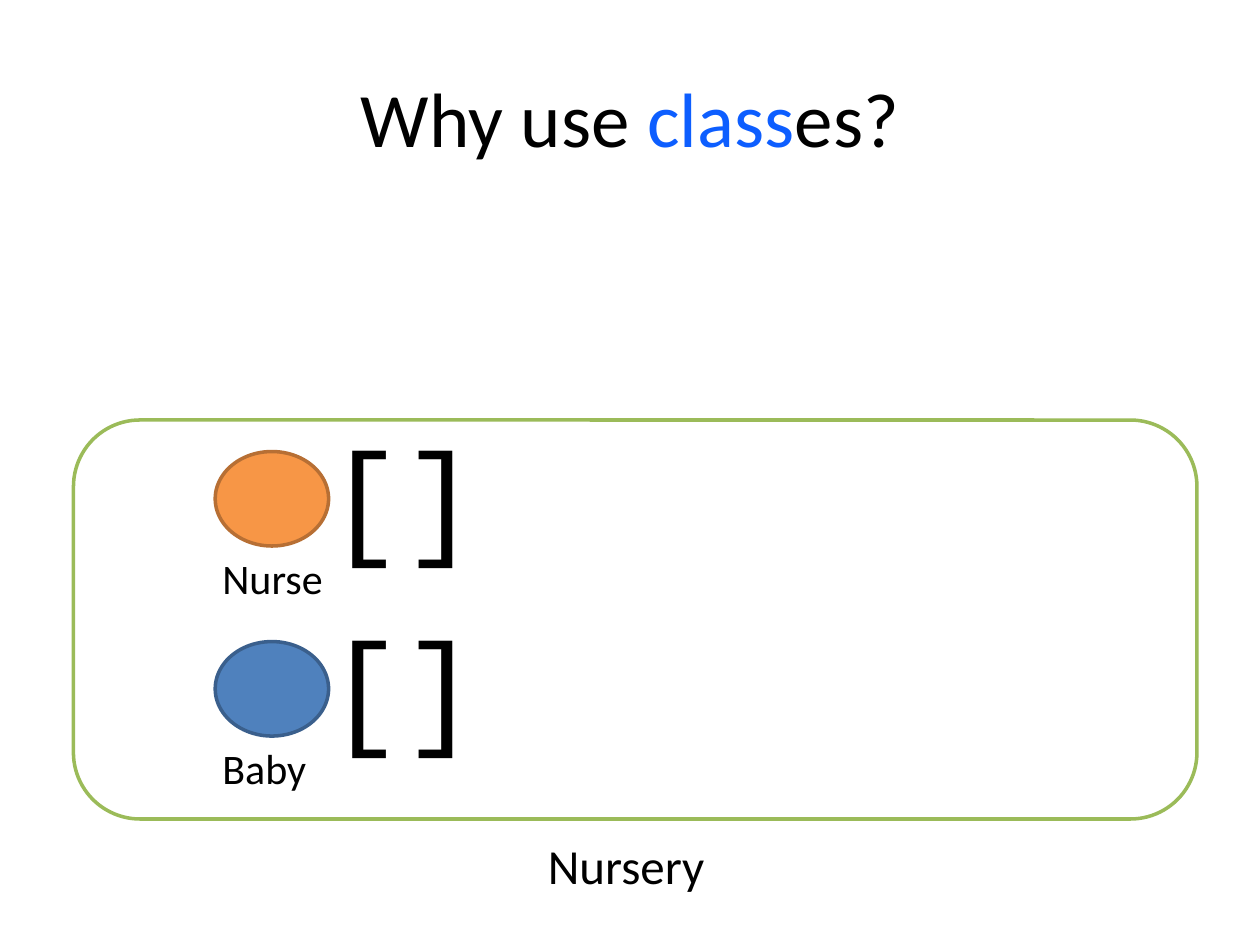
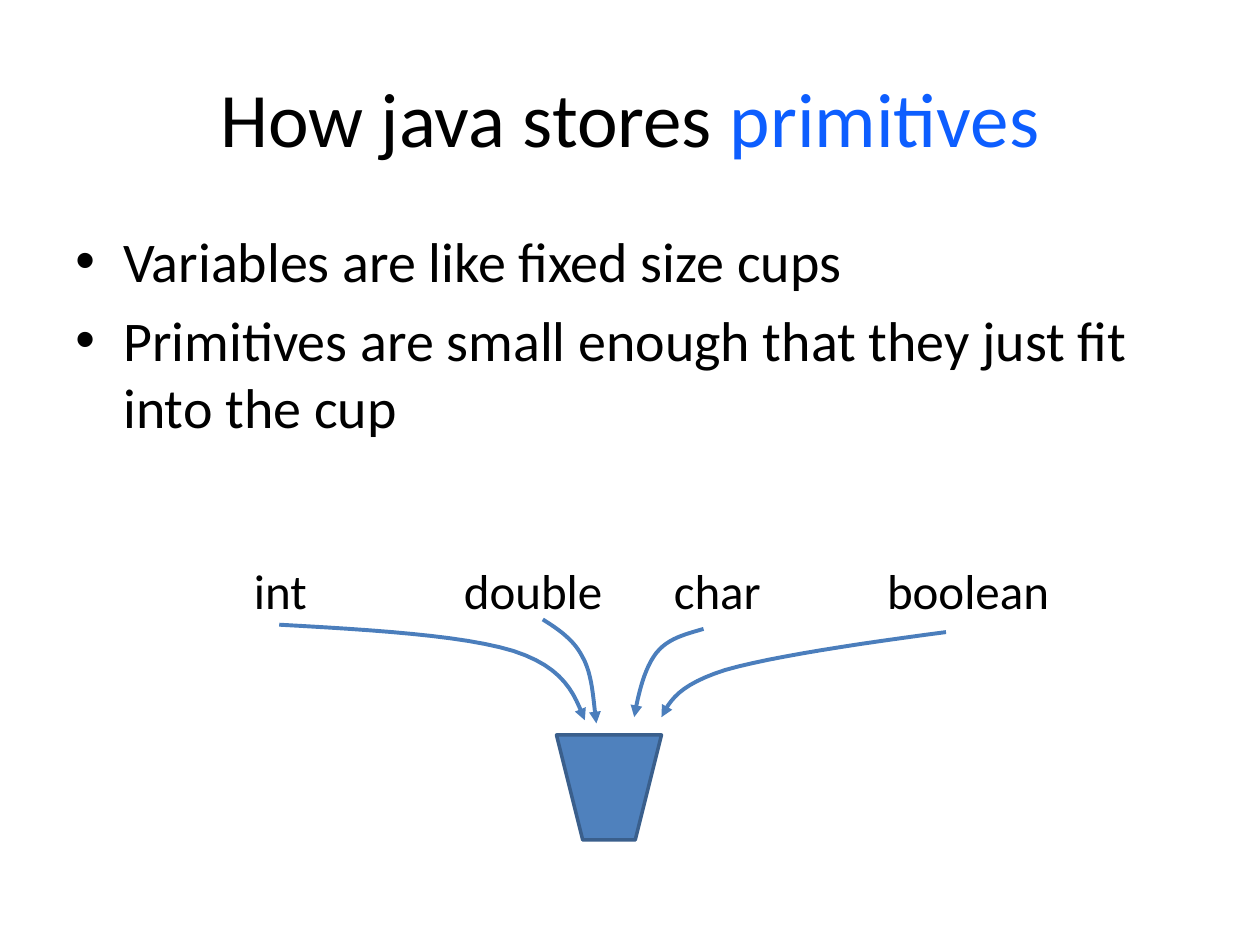
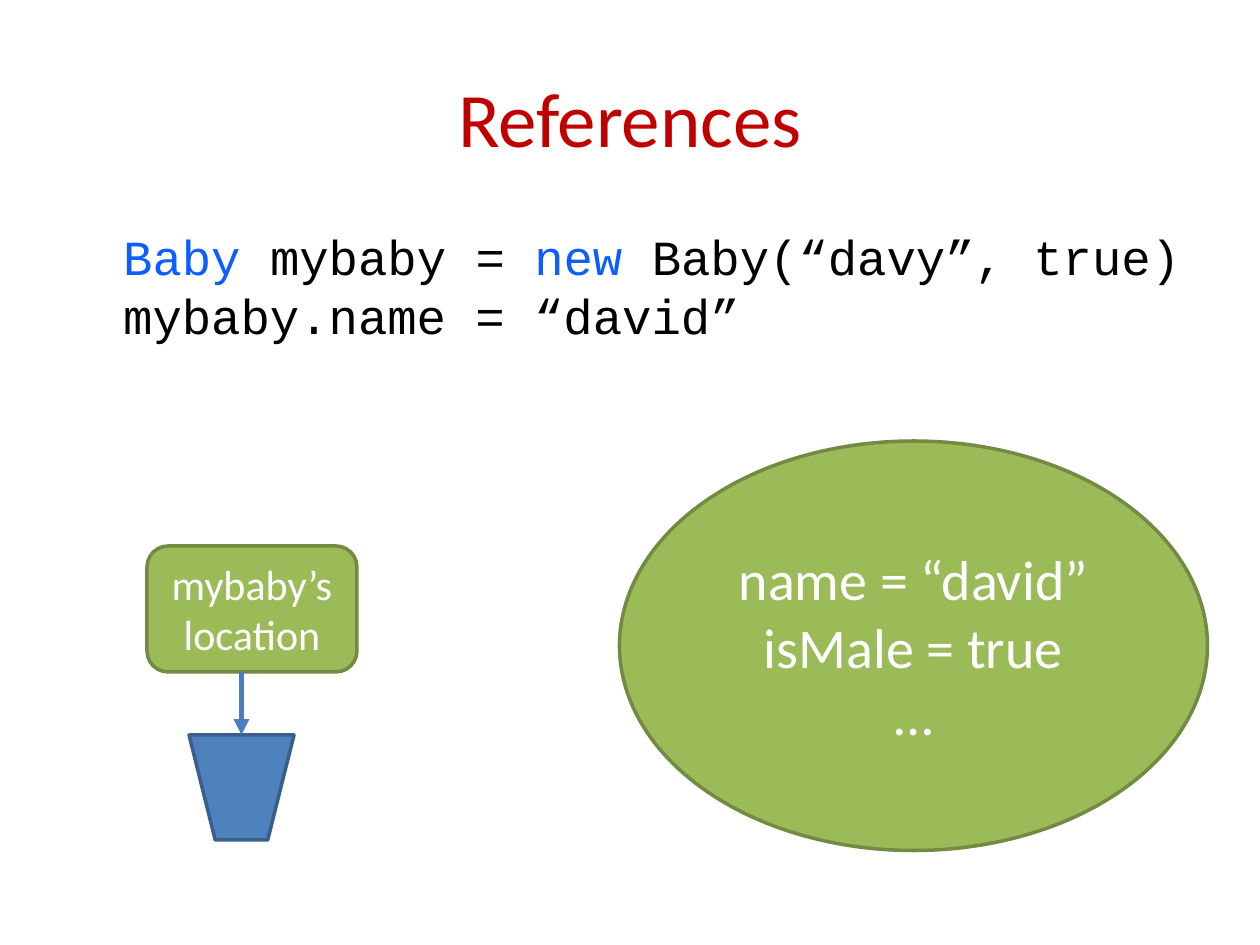
from lxml import etree
from pptx import Presentation
from pptx import util as u
from pptx.dml.color import RGBColor
from pptx.enum import shapes, text
from pptx.oxml.ns import qn

COLS, ROWS = 120, 90
BLACK, WHITE, KEYWORD, RED = "000000", "FFFFFF", "0D5EFF", "C00000"
BLUE, BLUE_EDGE, ARROW = "4F81BD", "3A5F8C", "4B7EBC"
GREEN, GREEN_EDGE = "9BBB59", "738A42"
ORANGE, ORANGE_EDGE = "F79646", "B76F34"
INDENT = u.Inches(0.38)
rgb = RGBColor.from_string
kinds = shapes.MSO_SHAPE

prs = Presentation()
prs.slide_width, prs.slide_height = u.Inches(10), u.Inches(7.5)
cell = prs.slide_width / COLS  # square cells: 120 columns by 90 rows


def add_box(slide, at, kind=None, fill=WHITE, edge=BLACK):
    """Add a text box, or a filled preset shape when a kind is given, at grid cells."""
    place = [round(v * cell) for v in at]
    if kind is None:
        return slide.shapes.add_textbox(*place)
    sp = slide.shapes.add_shape(kind, *place)
    sp.shadow.inherit = False
    sp.fill.solid()
    sp.fill.fore_color.rgb = rgb(fill)
    sp.line.color.rgb = rgb(edge)
    sp.line.width = u.Pt(2)
    return sp


def write(sp, lines, size, color=BLACK, font="Calibri", center=False, middle=False,
          wrap=True, left=0, bullet=False, before=0):
    """Write lines; each is a string or a list of (text, colour) pieces."""
    tf = sp.text_frame
    tf.word_wrap = wrap
    if not wrap:
        tf.auto_size = text.MSO_AUTO_SIZE.SHAPE_TO_FIT_TEXT
    tf.vertical_anchor = text.MSO_ANCHOR.MIDDLE if middle else text.MSO_ANCHOR.TOP
    for i, line in enumerate(lines):
        p = tf.add_paragraph() if i else tf.paragraphs[0]
        p.alignment = text.PP_ALIGN.CENTER if center else text.PP_ALIGN.LEFT
        if i and before:
            p.space_before = u.Pt(before)
        pPr = p._p.get_or_add_pPr()
        pPr.set("marL", str(left))
        if bullet:
            pPr.set("indent", str(-left))
            etree.SubElement(pPr, qn("a:buFont")).set("typeface", "Arial")
            etree.SubElement(pPr, qn("a:buChar")).set("char", "•")
        for piece, tint in [(line, color)] if isinstance(line, str) else line:
            r = p.add_run()
            r.text = piece
            r.font.name, r.font.size = font, u.Pt(size)
            r.font.color.rgb = rgb(tint)


titles = [
    [("Why use ", BLACK), ("class", KEYWORD), ("es?", BLACK)],
    [("How java stores ", BLACK), ("primitives", KEYWORD)],
    [("References", RED)],
]
slides = []
for title in titles:
    slide = prs.slides.add_slide(prs.slide_layouts[6])
    write(add_box(slide, (6, 3.6, 108, 15)), [title], 44, center=True, middle=True)
    slides.append(slide)
classes, primitives, references = slides

# Nursery with its lists of nurses and babies
add_box(classes, (7, 40, 107, 38), kinds.ROUNDED_RECTANGLE, WHITE, GREEN)
write(add_box(classes, (51, 79, 17.5, 6.8)), ["Nursery"], 28, wrap=False)
members = [
    ("Nurse", 12.1, 43, ORANGE, ORANGE_EDGE),
    ("Baby", 10.4, 61.1, BLUE, BLUE_EDGE),
]
for name, width, top, fill, edge in members:
    add_box(classes, (20.5, top, 10.8, 9), kinds.OVAL, fill, edge)
    write(add_box(classes, (20, top + 9, width, 6)), [name], 24, wrap=False)
    write(add_box(classes, (30, top - 3.9, 17, 15.7)), ["[]"], 72,
          font="Courier New", wrap=False)

# Cups that hold a primitive or a location
for slide, left in [(primitives, 53), (references, 18)]:
    cup = add_box(slide, (left, 70, 10, 10), kinds.TRAPEZOID, BLUE, BLUE_EDGE)
    cup._element.spPr.find(qn("a:xfrm")).set("flipV", "1")

# Primitives flowing into the cup
write(add_box(primitives, (6, 21, 108, 33)), [
    "Variables are like fixed size cups",
    "Primitives are small enough that they just fit into the cup",
], 32, left=INDENT, bullet=True, before=6.4)
# Type, left and width of its label, then two joined Bezier curves
flows = [
    ("int", 23, 7.6, [(26.6, 59.5), (35.4, 60), (44, 60.5), (48.9, 62),
                      (53.8, 63.6), (54.7, 66.1), (55.7, 68.6)]),
    ("double", 43, 15.7, [(51.7, 59), (53.3, 60), (54.7, 61), (55.5, 62.6),
                          (56.4, 64.2), (56.5, 66.5), (56.8, 68.9)]),
    ("char", 63, 10.8, [(67, 59.9), (65.3, 60.4), (63.6, 60.8), (62.5, 62.2),
                        (61.4, 63.6), (60.8, 66), (60.4, 68.3)]),
    ("boolean", 83.3, 18, [(90.1, 60.2), (81.8, 61.3), (73.7, 62.5), (69.1, 63.8),
                           (64.7, 65.2), (63.8, 66.7), (63, 68.3)]),
]
STEPS = 12
arrows = []
for name, left, width, knots in flows:
    write(add_box(primitives, (left, 52.8, width, 6.8)), [name], 28, wrap=False)
    points = []
    for k in (0, 3):
        for step in range(1, STEPS + 1):
            t = step / STEPS
            weights = ((1 - t) ** 3, 3 * t * (1 - t) ** 2, 3 * t * t * (1 - t), t ** 3)
            points.append([sum(w * knot[axis] for w, knot in zip(weights, knots[k:k + 4])) * cell
                           for axis in (0, 1)])
    path = primitives.shapes.build_freeform(*(v * cell for v in knots[0]))
    path.add_line_segments(points, close=False)
    curve = path.convert_to_shape()
    curve.fill.background()
    arrows.append((curve, 2.25))

# Reference to an object
write(add_box(references, (6, 21, 108, 59.4)), [
    [("Baby ", KEYWORD), ("mybaby = ", BLACK), ("new ", KEYWORD), ("Baby(“davy”, true)", BLACK)],
    "mybaby.name = “david”",
], 28, font="Courier New", left=INDENT)
location = add_box(references, (14, 52, 20, 12), kinds.ROUNDED_RECTANGLE, GREEN, GREEN_EDGE)
write(location, ["mybaby’s", "location"], 24, WHITE, center=True, middle=True)
baby = add_box(references, (59, 42, 56, 39), kinds.OVAL, GREEN, GREEN_EDGE)
write(baby, ["name = “david”", "isMale = true", "…"], 32, WHITE, center=True, middle=True)
link = references.shapes.add_connector(
    shapes.MSO_CONNECTOR.STRAIGHT, *(round(v * cell) for v in (23, 64, 23, 70)))
arrows.append((link, 3))

for arrow, width in arrows:
    arrow.line.color.rgb = rgb(ARROW)
    arrow.line.width = u.Pt(width)
    spPr = arrow._element.spPr
    etree.SubElement(spPr.find(qn("a:ln")), qn("a:tailEnd")).set("type", "triangle")
    etree.SubElement(spPr, qn("a:effectLst"))

prs.save("out.pptx")
